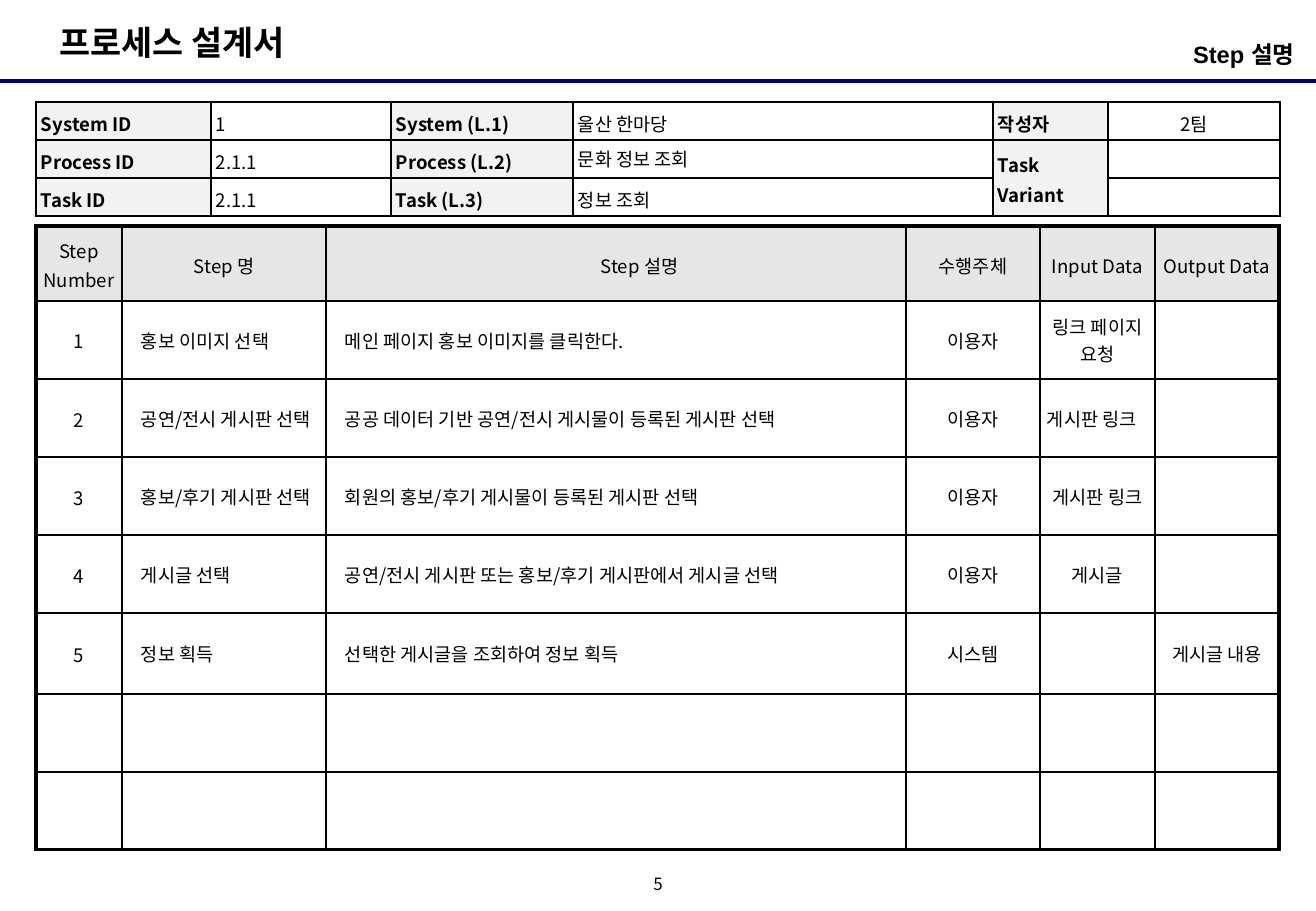
import pptx
import pptx.dml.color
import pptx.enum.shapes
import pptx.enum.text
import pptx.oxml.ns
import pptx.util
from lxml import etree

RGBColor = pptx.dml.color.RGBColor
Pt = pptx.util.Pt
ALIGN = pptx.enum.text.PP_ALIGN
ANCHOR = pptx.enum.text.MSO_ANCHOR
qn = pptx.oxml.ns.qn

BLACK = RGBColor(0, 0, 0)
NAVY = RGBColor(0, 0, 0x80)
LABEL_GRAY = RGBColor(0xF2, 0xF2, 0xF2)
HEADING_GRAY = RGBColor(0xE6, 0xE6, 0xE6)
KOREAN_FONT = "Noto Sans CJK KR"
LATIN_FONT = "Arial"
EMU_PER_PIXEL = 914400 / 121.5
CELL_SIZE = 11

SYSTEM_COLUMNS = [175, 180, 182, 420, 115, 172]
SYSTEM_ROWS = [38] * 3
SYSTEM_INFO = [
    ["System ID", "1", "System (L.1)", "울산 한마당", "작성자", "2팀"],
    ["Process ID", "2.1.1", "Process (L.2)", "문화 정보 조회", "Task Variant", ""],
    ["Task ID", "2.1.1", "Task (L.3)", "정보 조회", "", ""],
]
STEP_COLUMNS = [86, 204, 580, 134, 115, 124]
STEP_ROWS = [75, 78, 78, 78, 78, 81, 78, 78]
STEPS = [
    ["Step Number", "Step 명", "Step 설명", "수행주체", "Input Data", "Output Data"],
    ["1", "홍보 이미지 선택", "메인 페이지 홍보 이미지를 클릭한다.", "이용자", "링크 페이지 요청", ""],
    ["2", "공연/전시 게시판 선택", "공공 데이터 기반 공연/전시 게시물이 등록된 게시판 선택",
     "이용자", "게시판 링크", ""],
    ["3", "홍보/후기 게시판 선택", "회원의 홍보/후기 게시물이 등록된 게시판 선택",
     "이용자", "게시판 링크", ""],
    ["4", "게시글 선택", "공연/전시 게시판 또는 홍보/후기 게시판에서 게시글 선택", "이용자", "게시글", ""],
    ["5", "정보 획득", "선택한 게시글을 조회하여 정보 획득", "시스템", "", "게시글 내용"],
    [""] * 6,
    [""] * 6,
]


def px(length):
    return pptx.util.Emu(round(length * EMU_PER_PIXEL))


def write(frame, text, size, bold=False, font=KOREAN_FONT, align=ALIGN.LEFT):
    frame.text = text
    paragraph = frame.paragraphs[0]
    paragraph.alignment = align
    for run in paragraph.runs:
        run.font.size = Pt(size)
        run.font.bold = bold
        run.font.name = font
        run.font.color.rgb = BLACK
        east_asian = etree.SubElement(run.font._element, qn("a:ea"))
        east_asian.set("typeface", KOREAN_FONT)
    if not text:
        etree.SubElement(paragraph._p, qn("a:endParaRPr")).set("sz", str(size * 100))
    return paragraph


def set_margins(holder, side, top):
    holder.margin_left = holder.margin_right = px(side)
    holder.margin_top = holder.margin_bottom = px(top)


def add_label(slide, box, text, size, margins, wrap=False, **style):
    frame = slide.shapes.add_textbox(*map(px, box)).text_frame
    frame.word_wrap = wrap
    set_margins(frame, *margins)
    return frame, write(frame, text, size, **style)


def add_rule(slide, start, end):
    rule = slide.shapes.add_connector(
        pptx.enum.shapes.MSO_CONNECTOR.STRAIGHT, *map(px, start + end))
    rule.line.color.rgb = NAVY
    rule.line.width = Pt(2.25)
    etree.SubElement(rule._element.spPr, qn("a:effectLst"))


def set_borders(cell, widths):
    properties = cell._tc.get_or_add_tcPr()
    for side, width in zip("LRTB", widths):
        border = etree.SubElement(properties, qn("a:ln" + side), w=str(Pt(width)))
        fill = etree.SubElement(border, qn("a:solidFill"))
        etree.SubElement(fill, qn("a:srgbClr"), val=str(BLACK))


def add_grid(slide, left, top, columns, rows, frame_width, merged=None):
    box = map(px, (left, top, sum(columns), sum(rows)))
    table = slide.shapes.add_table(len(rows), len(columns), *box).table
    table.first_row = table.horz_banding = False
    for column, width in zip(table.columns, columns):
        column.width = px(width)
    for row, height in zip(table.rows, rows):
        row.height = px(height)
    if merged:
        first, last = merged
        table.cell(*first).merge(table.cell(*last))
    for r in range(len(rows)):
        for c in range(len(columns)):
            cell = table.cell(r, c)
            bottom = r + (cell.span_height if cell.is_merge_origin else 1)
            edges = (c == 0, c == len(columns) - 1, r == 0, bottom == len(rows))
            set_borders(cell, [frame_width if edge else 1 for edge in edges])
    return table


def fill_cell(cell, color):
    if color is None:
        cell.fill.background()
    else:
        cell.fill.solid()
        cell.fill.fore_color.rgb = color


def loosen(paragraph, before, after):
    paragraph.line_spacing = 1.1
    paragraph.space_before = Pt(before)
    paragraph.space_after = Pt(after)


def add_system_table(slide):
    table = add_grid(slide, 36, 102, SYSTEM_COLUMNS, SYSTEM_ROWS, 1.5, ((1, 4), (2, 4)))
    for r, texts in enumerate(SYSTEM_INFO):
        for c, text in enumerate(texts):
            cell = table.cell(r, c)
            is_label = c % 2 == 0
            fill_cell(cell, LABEL_GRAY if is_label else None)
            set_margins(cell, 5, 5)
            cell.vertical_anchor = ANCHOR.MIDDLE if c >= 4 else ANCHOR.TOP
            if cell.is_spanned:
                continue
            align = ALIGN.CENTER if c == 5 else ALIGN.LEFT
            paragraph = write(cell.text_frame, text, CELL_SIZE, is_label, align=align)
            if text and (r, c) != (1, 3):
                loosen(paragraph, 1, 1)


def add_step_table(slide):
    table = add_grid(slide, 36, 226, STEP_COLUMNS, STEP_ROWS, 2.25)
    for r, texts in enumerate(STEPS):
        for c, text in enumerate(texts):
            cell = table.cell(r, c)
            is_heading = r == 0
            is_description = not is_heading and c in (1, 2)
            fill_cell(cell, HEADING_GRAY if is_heading else None)
            set_margins(cell, 7, 5)
            cell.vertical_anchor = ANCHOR.MIDDLE
            left_aligned = is_description or (r, c) == (2, 4)
            align = ALIGN.LEFT if left_aligned else ALIGN.CENTER
            paragraph = write(cell.text_frame, text, CELL_SIZE, align=align)
            if is_heading:
                loosen(paragraph, 0, 1)
            elif c == 0 and r > 1:
                loosen(paragraph, 1, 1)
            indent = 47 if (r, c) == (0, 2) else 12 if is_description else 0
            if indent:
                properties = paragraph._p.get_or_add_pPr()
                properties.set("marL", str(px(indent)))
                properties.set("indent", "0")


def main():
    presentation = pptx.Presentation()
    presentation.slide_width = px(1316)
    presentation.slide_height = px(911)
    slide = presentation.slides.add_slide(presentation.slide_layouts[6])
    add_rule(slide, (0, 81), (1316, 81))
    add_label(slide, (47, 16, 275, 53), "프로세스 설계서", 20, (12, 6), bold=True)
    number_frame, page_number = add_label(
        slide, (638, 871, 40, 30), "5", 10, (0, 0), align=ALIGN.CENTER)
    number_frame.vertical_anchor = ANCHOR.MIDDLE
    page_number.line_spacing = 0.8
    add_system_table(slide)
    add_step_table(slide)
    section = add_label(slide, (898, 34, 402, 47), "Step 설명 ", 14, (0, 6), wrap=True,
                        bold=True, font=LATIN_FONT, align=ALIGN.RIGHT)[1]
    section.space_before = Pt(3)
    presentation.save("out.pptx")


main()
